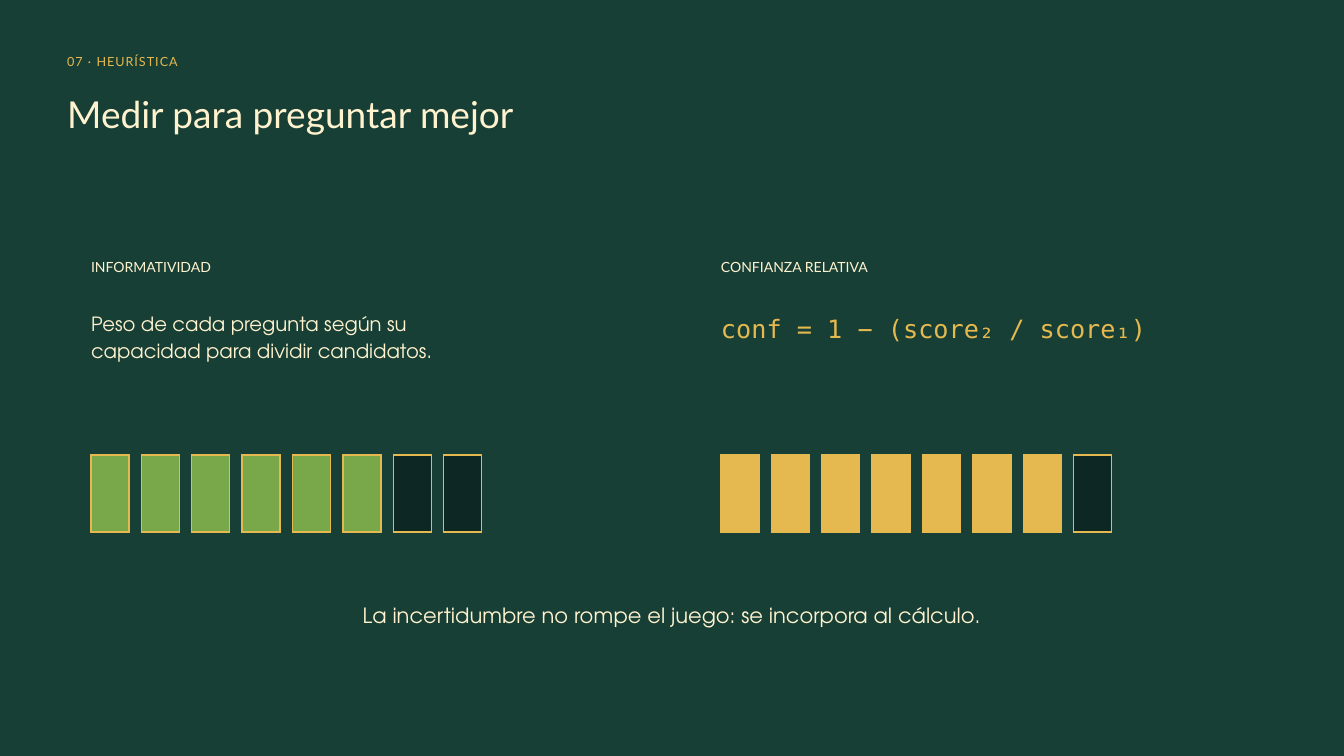
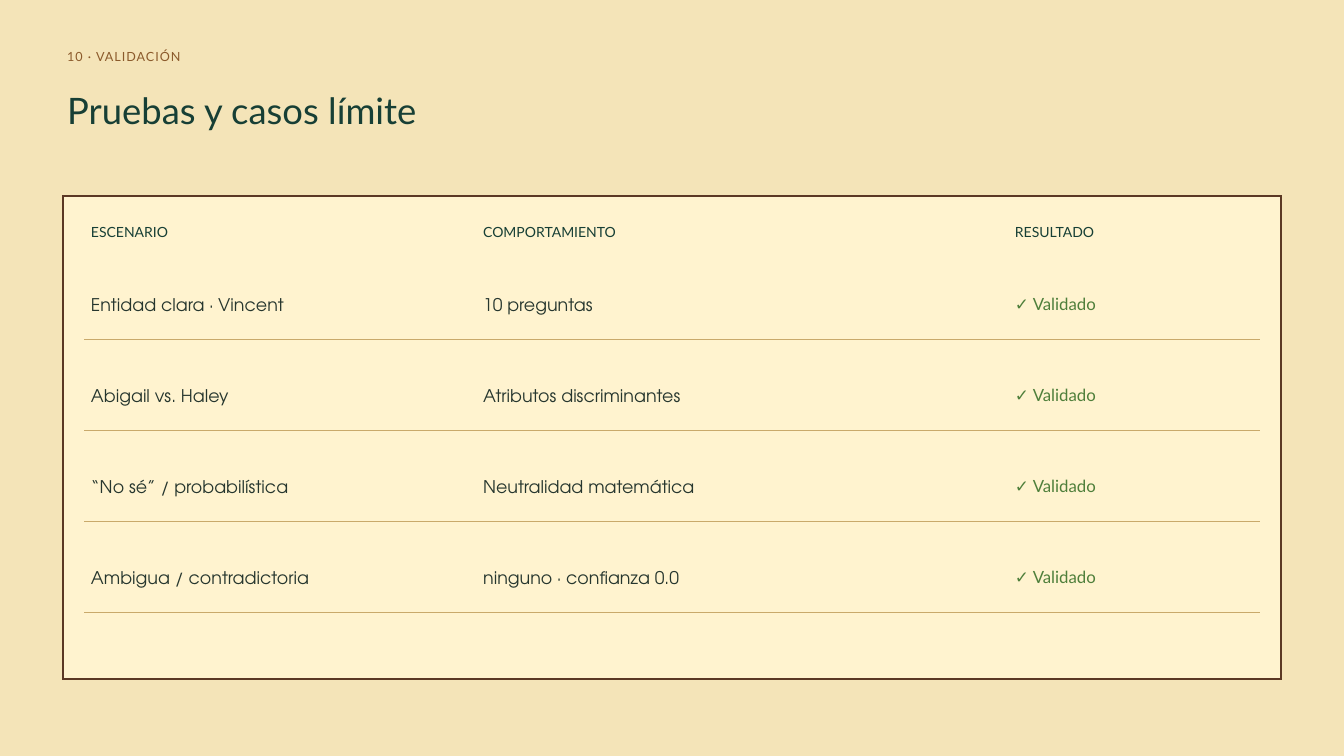
from dataclasses import dataclass

from lxml.etree import SubElement
from pptx import Presentation
from pptx.dml.color import RGBColor
from pptx.enum.shapes import MSO_CONNECTOR as Connector, MSO_SHAPE as Shape
from pptx.enum.text import MSO_AUTO_SIZE as AutoSize, PP_ALIGN as Align
from pptx.oxml.ns import qn
from pptx.presentation import Presentation as Deck
from pptx.slide import Slide
from pptx.table import _Cell as Cell
from pptx.text.text import TextFrame
from pptx.util import Pt

FOREST = RGBColor(0x17, 0x3F, 0x35)
NIGHT = RGBColor(0x0D, 0x28, 0x24)
CREAM = RGBColor(0xFF, 0xF3, 0xCF)
SAND = RGBColor(0xF4, 0xE4, 0xB8)
GOLD = RGBColor(0xE5, 0xB9, 0x4F)
TAN = RGBColor(0xC9, 0xA9, 0x6B)
LEAF = RGBColor(0x79, 0xA8, 0x4B)
MOSS = RGBColor(0x4F, 0x7F, 0x3B)
BROWN = RGBColor(0x8B, 0x5A, 0x2B)
BARK = RGBColor(0x5B, 0x38, 0x24)
INK = RGBColor(0x26, 0x36, 0x2E)

LATO = "Lato"
ADVENTOR = "TeX Gyre Adventor"
MONO = "DejaVu Sans Mono"

MARGIN = 72
BAR_COUNT, BAR_WIDTH, BAR_HEIGHT, BAR_PITCH, BAR_TOP = 8, 40.6, 82.5, 54, 487.5
TABLE_LEFT, TABLE_TOP = 90, 220
COLUMN_WIDTHS = (420.2, 569.8, 270)
HEADER_HEIGHT, ROW_HEIGHT = 46.1, 97.5
HEADER_INSET, ROW_INSET, SIDE_INSET = 19, 45, 7.5

HEADINGS = ("ESCENARIO", "COMPORTAMIENTO", "RESULTADO")
VALIDATED = "✓ Validado"
CASES = (
    ("Entidad clara · Vincent", "10 preguntas", VALIDATED),
    ("Abigail vs. Haley", "Atributos discriminantes", VALIDATED),
    ("“No sé” / probabilística", "Neutralidad matemática", VALIDATED),
    ("Ambigua / contradictoria", "ninguno · confianza 0.0", VALIDATED),
)


@dataclass(frozen=True)
class Style:
    """Type settings of one kind of text."""

    font: str
    size: float
    leading: float
    color: RGBColor
    align: Align = Align.LEFT
    tracking: float = 0


@dataclass(frozen=True)
class Label:
    """A text and the frame it sits in."""

    text: str
    left: float
    top: float
    width: float
    height: float
    style: Style


@dataclass(frozen=True)
class Meter:
    """A row of bars, some of them filled."""

    left: float
    filled: int
    color: RGBColor


CASE = Style(ADVENTOR, 18.75, 26.25, INK)
RESULT = Style(LATO, 18, 25.2, MOSS)
STATEMENT = Style(ADVENTOR, 21, 28.35, CREAM)
FORMULA = Style(MONO, 27, 37.8, GOLD)
CLOSING = Style(ADVENTOR, 22.5, 31.5, CREAM, Align.CENTER)


def heading_style(color: RGBColor) -> Style:
    """Return the style of a small capital heading."""
    return Style(LATO, 15, 18.75, color)


HEURISTIC_LABELS = (
    Label("INFORMATIVIDAD", 97.5, 276.5, 450, 18.75, heading_style(CREAM)),
    Label("Peso de cada pregunta según su capacidad para dividir candidatos.",
          97.5, 331.2, 457.2, 54.7, STATEMENT),
    Label("CONFIANZA RELATIVA", 772.5, 276.5, 487.5, 18.75, heading_style(CREAM)),
    Label("conf = 1 − (score₂ / score₁)", 772.5, 329.8, 487.5, 36, FORMULA),
    Label("La incertidumbre no rompe el juego: se incorpora al cálculo.",
          172.5, 641.5, 1095, 31, CLOSING),
)
METERS = (Meter(97.5, 6, LEAF), Meter(772.5, 7, GOLD))


def write_text(frame: TextFrame, text: str, style: Style) -> None:
    """Put one styled paragraph into a text frame."""
    para = frame.paragraphs[0]
    para.alignment = style.align
    para.line_spacing = Pt(style.leading)
    span = para.add_run()
    span.text = text
    font_values = {"name": style.font, "size": Pt(style.size), "bold": False}
    for name, value in font_values.items():
        setattr(span.font, name, value)
    span.font.color.rgb = style.color
    if style.tracking:
        span._r.get_or_add_rPr().set("spc", str(round(style.tracking * 100)))


def add_label(page: Slide, label: Label) -> None:
    """Draw a label as a text box without insets."""
    places = (label.left, label.top, label.width, label.height)
    box = page.shapes.add_textbox(*map(Pt, places))
    frame_values = {
        "margin_left": 0, "margin_top": 0, "margin_right": 0, "margin_bottom": 0,
        "word_wrap": True, "auto_size": AutoSize.SHAPE_TO_FIT_TEXT,
    }
    for name, value in frame_values.items():
        setattr(box.text_frame, name, value)
    write_text(box.text_frame, label.text, label.style)


def add_box(page: Slide, left: float, top: float, width: float, height: float,
            fill: RGBColor, outline: RGBColor, weight: float) -> None:
    """Draw a filled, sharply outlined rectangle."""
    places = map(Pt, (left, top, width, height))
    box = page.shapes.add_shape(Shape.RECTANGLE, *places)
    box.shadow.inherit = False
    box.fill.solid()
    box.fill.fore_color.rgb = fill
    box.line.color.rgb = outline
    box.line.width = Pt(weight)
    SubElement(box.line._get_or_add_ln(), qn("a:miter"), lim="800000")


def add_rule(page: Slide, left: float, right: float, height: float) -> None:
    """Draw a thin horizontal rule."""
    ends = map(Pt, (left, height, right, height))
    rule = page.shapes.add_connector(Connector.STRAIGHT, *ends)
    rule.line.color.rgb = TAN
    rule.line.width = Pt(1.5)
    SubElement(rule._element.spPr, qn("a:effectLst"))


def add_page(deck: Deck, background: RGBColor) -> Slide:
    """Add a blank page with a plain background."""
    page = deck.slides.add_slide(deck.slide_layouts[6])
    page.background.fill.solid()
    page.background.fill.fore_color.rgb = background
    return page


def add_header(page: Slide, section: str, section_top: float, section_color: RGBColor,
               title: str, title_top: float, title_style: Style) -> None:
    """Draw the section mark and the title of a page."""
    section_style = Style(LATO, 13.5, 18.9, section_color, tracking=1.1)
    add_label(page, Label(section, MARGIN, section_top, 450, 18, section_style))
    add_label(page, Label(title, MARGIN, title_top, 1050, title_style.leading, title_style))


def add_meter(page: Slide, meter: Meter) -> None:
    """Draw a meter as evenly spaced bars."""
    for index in range(BAR_COUNT):
        fill = meter.color if index < meter.filled else NIGHT
        add_box(page, meter.left + index * BAR_PITCH, BAR_TOP,
                BAR_WIDTH, BAR_HEIGHT, fill, GOLD, 1.5)


def format_cell(cell: Cell, top_inset: float) -> None:
    """Set the insets of a table cell and clear its borders and fill."""
    cell_values = {
        "margin_left": Pt(SIDE_INSET), "margin_right": 0,
        "margin_top": Pt(top_inset), "margin_bottom": 0,
    }
    for name, value in cell_values.items():
        setattr(cell, name, value)
    properties = cell._tc.get_or_add_tcPr()
    for tag in ("a:lnL", "a:lnR", "a:lnT", "a:lnB"):
        SubElement(SubElement(properties, qn(tag)), qn("a:noFill"))
    cell.fill.background()


def add_case_table(page: Slide) -> None:
    """Draw the table of test cases with a rule below each case."""
    rows = (HEADINGS, *CASES)
    heights = (HEADER_HEIGHT, *[ROW_HEIGHT] * len(CASES))
    width = sum(COLUMN_WIDTHS)
    places = (TABLE_LEFT, TABLE_TOP, width, sum(heights))
    table = page.shapes.add_table(len(rows), len(HEADINGS), *map(Pt, places)).table
    for name in ("first_row", "horz_banding"):
        setattr(table, name, False)
    for column, column_width in zip(table.columns, COLUMN_WIDTHS):
        column.width = Pt(column_width)
    for row, (texts, height) in enumerate(zip(rows, heights)):
        table.rows[row].height = Pt(height)
        styles = (CASE, CASE, RESULT) if row else (heading_style(FOREST),) * 3
        for column, (text, style) in enumerate(zip(texts, styles)):
            cell = table.cell(row, column)
            format_cell(cell, ROW_INSET if row else HEADER_INSET)
            write_text(cell.text_frame, text, style)
        if row:
            bottom = TABLE_TOP + sum(heights[:row + 1])
            add_rule(page, TABLE_LEFT, TABLE_LEFT + width, bottom)


def build_heuristic(deck: Deck) -> None:
    """Build the page on measuring the questions."""
    page = add_page(deck, FOREST)
    add_header(page, "07 · HEURÍSTICA", 54.7, GOLD,
               "Medir para preguntar mejor", 97.2, Style(LATO, 39.75, 48.5, CREAM))
    for label in HEURISTIC_LABELS:
        add_label(page, label)
    for meter in METERS:
        add_meter(page, meter)


def build_validation(deck: Deck) -> None:
    """Build the page with the table of test cases."""
    page = add_page(deck, SAND)
    add_box(page, 67.5, 210, 1305, 517.5, CREAM, BARK, 3)
    add_header(page, "10 · VALIDACIÓN", 50, BROWN,
               "Pruebas y casos límite", 94.3, Style(LATO, 39, 46.8, FOREST))
    add_case_table(page)


def main() -> None:
    """Build the deck and save it."""
    deck = Presentation()
    deck.slide_width, deck.slide_height = Pt(1440), Pt(810)
    build_heuristic(deck)
    build_validation(deck)
    deck.save("out.pptx")


if __name__ == "__main__":
    main()
